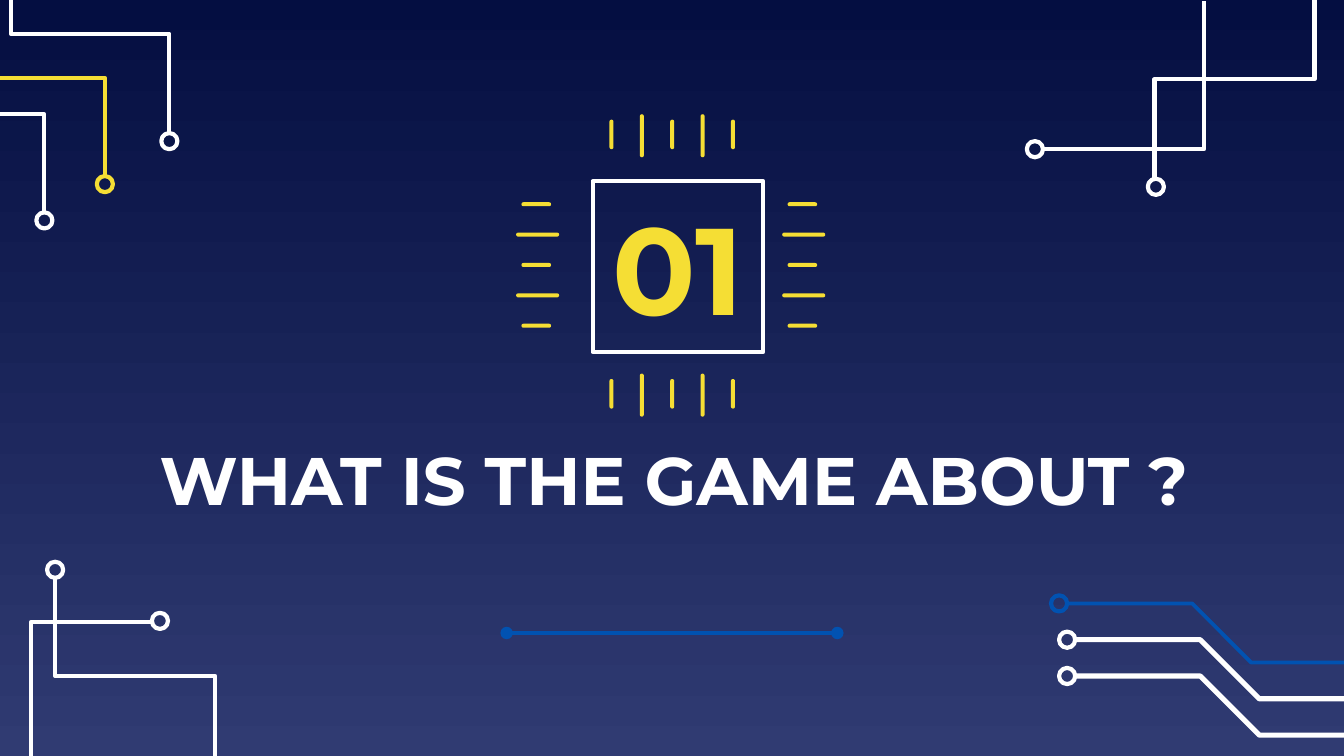
import pptx
import pptx.dml.color
import pptx.enum.shapes
import pptx.enum.text
import pptx.oxml
import pptx.util
from pptx.util import Inches

RGB = pptx.dml.color.RGBColor.from_string
SHAPE = pptx.enum.shapes.MSO_SHAPE

theme = {
    "white": RGB("FFFFFF"),
    "yellow": RGB("F5DE34"),
    "blue": RGB("0152B1"),
    "night": RGB("040E41"),
    "dusk": RGB("303B72"),
    "font": "Montserrat",
    "title_size": 36,
    "number_size": 66,
    "stroke": 2.25,
}

deck = pptx.Presentation()
deck.slide_width, deck.slide_height = Inches(10), Inches(10 * 9 / 16)
bottom = deck.slide_height.inches
slide = deck.slides.add_slide(deck.slide_layouts[6])

backdrop = slide.background.fill
backdrop.gradient()
backdrop.gradient_angle = 270
for stop, color in zip(backdrop.gradient_stops, ("night", "dusk")):
    stop.color.rgb = theme[color]


def outline(shape, color, width=theme["stroke"]):
    shape.shadow.inherit = False
    shape.fill.background()
    shape.line.color.rgb = theme[color]
    shape.line.width = pptx.util.Pt(width)


def write(shape, words, color, size):
    frame = shape.text_frame
    frame.text = words
    frame.word_wrap = True
    frame.vertical_anchor = pptx.enum.text.MSO_ANCHOR.MIDDLE
    frame.margin_left = frame.margin_right = Inches(0.1)
    frame.margin_top = frame.margin_bottom = Inches(0.1)
    frame.paragraphs[0].alignment = pptx.enum.text.PP_ALIGN.CENTER
    font = frame.paragraphs[0].runs[0].font
    font.name, font.size, font.bold = theme["font"], pptx.util.Pt(size), True
    font.color.rgb = theme[color]


traces = [
    ("white", 2.25, (0.41, 4.24), [(0.41, 4.29), (0.41, 5.03), (1.6, 5.03), (1.6, bottom)]),
    ("white", 2.25, (1.19, 4.62), [(1.13, 4.63), (0.23, 4.63), (0.23, bottom)]),
    ("white", 2.25, (7.7, 1.11), [(7.76, 1.11), (8.96, 1.11), (8.96, 0.01)]),
    ("white", 2.25, (8.6, 1.39), [(8.59, 1.33), (8.59, 0.59), (9.78, 0.59), (9.78, 0)]),
    ("white", 2.25, (0.33, 1.64), [(0.33, 1.58), (0.33, 0.85), (0, 0.85)]),
    ("yellow", 2.25, (0.78, 1.37), [(0.78, 1.32), (0.78, 0.58), (0, 0.58)]),
    ("white", 2.25, (1.26, 1.05), [(1.26, 0.99), (1.26, 0.25), (0.08, 0.25), (0.08, 0)]),
]
for color, width, x, y in (
    ("blue", 2, 7.88, 4.49),
    ("white", 2.75, 7.94, 4.76),
    ("white", 2.75, 7.94, 5.03),
):
    bends = [(x + 0.06, y), (x + 0.99, y), (x + 1.43, y + 0.44), (10, y + 0.44)]
    traces.append((color, width, (x, y), bends))

ring = 0.12
for color, width, (x, y), points in traces:
    start, *bends = [(Inches(px), Inches(py)) for px, py in points]
    builder = slide.shapes.build_freeform(*start, scale=1.0)
    builder.add_line_segments(bends, close=False)
    outline(builder.convert_to_shape(), color, width)
    node = slide.shapes.add_shape(
        SHAPE.OVAL, Inches(x - ring / 2), Inches(y - ring / 2), Inches(ring), Inches(ring)
    )
    outline(node, color)

title = slide.shapes.add_textbox(Inches(0.93), Inches(3.23), Inches(8.17), Inches(0.67))
write(title, "WHAT IS THE GAME ABOUT ?", "white", theme["title_size"])

chip = slide.shapes.add_shape(SHAPE.RECTANGLE, Inches(4.41), Inches(1.35), Inches(1.27), Inches(1.27))
outline(chip, "white")
write(chip, "01", "yellow", theme["number_size"])

divider = slide.shapes.add_connector(
    pptx.enum.shapes.MSO_CONNECTOR.STRAIGHT, Inches(3.77), Inches(4.71), Inches(6.23), Inches(4.71)
)
divider.line.color.rgb = theme["blue"]
divider.line.width = pptx.util.Pt(theme["stroke"])
stroke = divider.line._get_or_add_ln()
for end in ("headEnd", "tailEnd"):
    stroke.append(pptx.oxml.parse_xml(
        f'<a:{end} xmlns:a="http://schemas.openxmlformats.org/drawingml/2006/main" type="oval"/>'
    ))
divider._element.spPr.append(pptx.oxml.parse_xml(
    '<a:effectLst xmlns:a="http://schemas.openxmlformats.org/drawingml/2006/main"/>'
))

pin_width, pin_gap = 0.03, 0.226
pin_rows = [("side", 3.99, 1.52), ("side", 5.97, 1.52), ("end", 1, 4.55), ("end", 2.93, 4.55)]
for edge, center, first in pin_rows:
    for i in range(5):
        length = 0.32 if i % 2 else 0.22
        middle = center + (0.01 if i % 2 else 0)
        across = first + i * pin_gap - pin_width / 2
        along = middle - length / 2
        if edge == "side":
            box = (along, across, length, pin_width)
        else:
            box = (across, along, pin_width, length)
        pin = slide.shapes.add_shape(SHAPE.ROUNDED_RECTANGLE, *map(Inches, box))
        pin.adjustments[0] = 0.5
        pin.shadow.inherit = False
        pin.fill.solid()
        pin.fill.fore_color.rgb = theme["yellow"]
        pin.line.fill.background()

deck.save("out.pptx")
